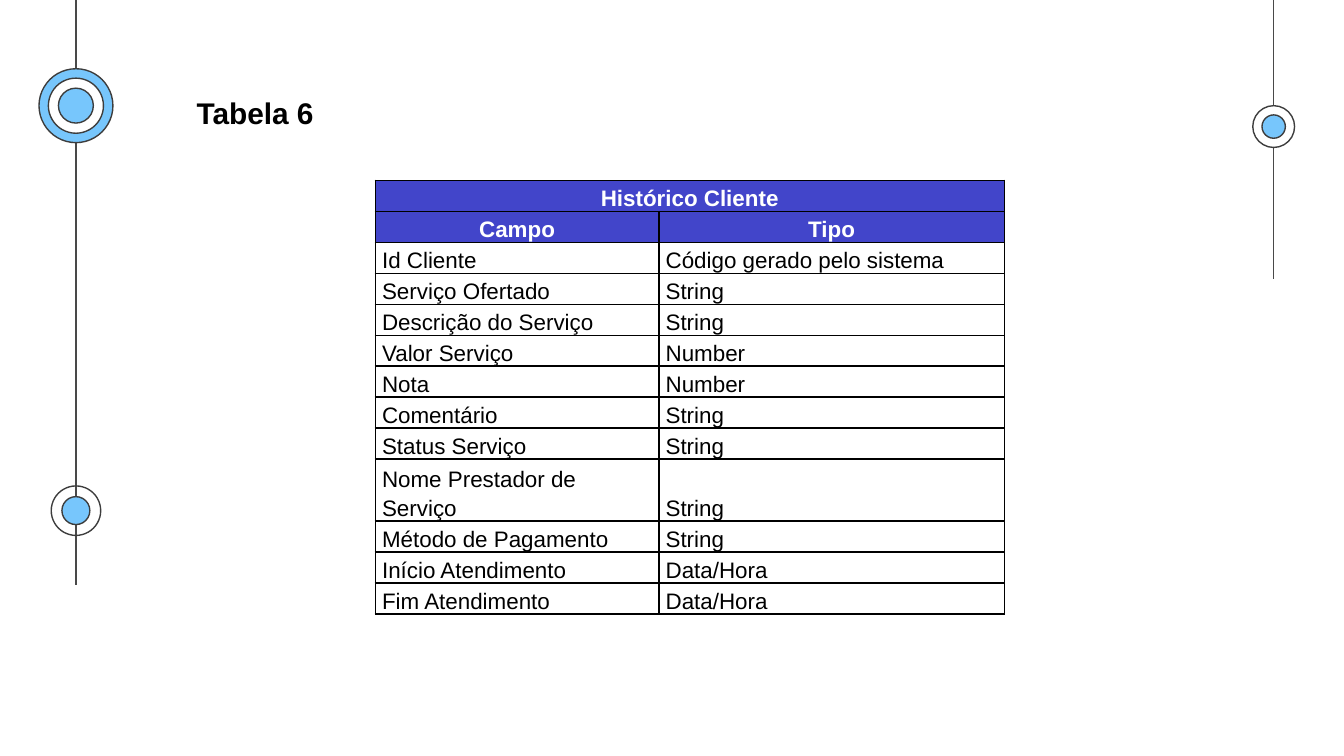
from lxml import etree
from pptx import Presentation
from pptx.dml.color import RGBColor
from pptx.enum.shapes import MSO_CONNECTOR, MSO_SHAPE
from pptx.enum.text import MSO_ANCHOR, MSO_AUTO_SIZE, PP_ALIGN
from pptx.oxml import parse_xml
from pptx.oxml.ns import nsdecls, qn
from pptx.util import Inches, Pt

OVAL = MSO_SHAPE.OVAL
STRAIGHT = MSO_CONNECTOR.STRAIGHT
BOTTOM = MSO_ANCHOR.BOTTOM
CENTER, LEFT = PP_ALIGN.CENTER, PP_ALIGN.LEFT
FIT_SHAPE = MSO_AUTO_SIZE.SHAPE_TO_FIT_TEXT

BLACK = RGBColor(0x00, 0x00, 0x00)
WHITE = RGBColor(0xFF, 0xFF, 0xFF)
SKY = RGBColor(0x77, 0xC6, 0xFC)
INDIGO = RGBColor(0x42, 0x45, 0xCA)
RAIL_GRAY = RGBColor(0x49, 0x49, 0x49)
RING_GRAY = RGBColor(0x3D, 0x3D, 0x3D)
FONT = "Arial"

# Widescreen slide, 16:9
presentation = Presentation()
presentation.slide_width = Inches(10)
presentation.slide_height = presentation.slide_width * 9 // 16
slide = presentation.slides.add_slide(presentation.slide_layouts[6])

# Grid of 100 columns by 100 rows
COLUMN = presentation.slide_width / 100
ROW = presentation.slide_height / 100


def columns(count):
    return round(count * COLUMN)


def rows(count):
    return round(count * ROW)


# Vertical rails: column, end row
LEFT_RAIL, RIGHT_RAIL = 5.65, 94.77
for rail, end in ((LEFT_RAIL, 77.4), (RIGHT_RAIL, 36.95)):
    connector = slide.shapes.add_connector(
        STRAIGHT, columns(rail), 0, columns(rail), rows(end))
    connector.line.color.rgb = RAIL_GRAY
    connector.line.width = Pt(0.75)
    etree.SubElement(connector._element.spPr, qn("a:effectLst"))

# Targets on the rails: column, row, then (diameter in columns, fill) from outside in
targets = (
    (LEFT_RAIL, 67.55, ((3.68, None), (2.08, SKY))),
    (RIGHT_RAIL, 16.75, ((3.11, WHITE), (1.74, SKY))),
    (LEFT_RAIL, 13.98, ((5.5, SKY), (4.1, WHITE), (2.6, SKY))),
)
for column, row, circles in targets:
    for diameter, color in circles:
        size = columns(diameter)
        circle = slide.shapes.add_shape(
            OVAL, columns(column) - size // 2, rows(row) - size // 2, size, size)
        circle.shadow.inherit = False
        circle.line.color.rgb = RING_GRAY
        circle.line.width = Pt(0.75)
        if color is None:
            circle.fill.background()
        else:
            circle.fill.solid()
            circle.fill.fore_color.rgb = color

# Title
title = slide.shapes.add_textbox(columns(13.65), rows(11.6), columns(11), rows(6.58))
title.text_frame.word_wrap = False
title.text_frame.auto_size = FIT_SHAPE
paragraph = title.text_frame.paragraphs[0]
paragraph.text = "Tabela 6"
paragraph.font.name = FONT
paragraph.font.size = Pt(16)
paragraph.font.bold = True
paragraph.font.color.rgb = BLACK

# Table of fields
HEADER_ROWS = 2
fields = (
    ("Histórico Cliente", ""),
    ("Campo", "Tipo"),
    ("Id Cliente", "Código gerado pelo sistema"),
    ("Serviço Ofertado", "String"),
    ("Descrição do Serviço", "String"),
    ("Valor Serviço", "Number"),
    ("Nota", "Number"),
    ("Comentário", "String"),
    ("Status Serviço", "String"),
    ("Nome Prestador de Serviço", "String"),
    ("Método de Pagamento", "String"),
    ("Início Atendimento", "Data/Hora"),
    ("Fim Atendimento", "Data/Hora"),
)
column_widths = (21.1, 25.7)
row_height = 3.74
table = slide.shapes.add_table(
    len(fields), len(column_widths), columns(27.93), rows(23.88),
    columns(sum(column_widths)), rows(row_height * len(fields))).table
table.first_row = False
table.horz_banding = False
for table_column, width in zip(table.columns, column_widths):
    table_column.width = columns(width)
for table_row in table.rows:
    table_row.height = rows(row_height)
table.cell(0, 0).merge(table.cell(0, 1))

for row_index, texts in enumerate(fields):
    is_header = row_index < HEADER_ROWS
    for column_index, text in enumerate(texts):
        cell = table.cell(row_index, column_index)
        cell.vertical_anchor = BOTTOM
        cell.margin_left = cell.margin_right = columns(0.5)
        cell.margin_top = cell.margin_bottom = 0

        paragraph = cell.text_frame.paragraphs[0]
        paragraph.text = text
        paragraph.alignment = CENTER if is_header else LEFT
        paragraph.line_spacing = 1.15
        paragraph.font.name = FONT
        paragraph.font.size = Pt(12)
        paragraph.font.bold = is_header
        paragraph.font.color.rgb = WHITE if is_header else BLACK

        # Borders come before the fill in the cell properties
        properties = cell._tc.get_or_add_tcPr()
        for side in ("lnL", "lnR", "lnT", "lnB"):
            properties.append(parse_xml(
                f'<a:{side} {nsdecls("a")} w="{Pt(1)}"><a:solidFill>'
                f'<a:srgbClr val="{BLACK}"/></a:solidFill></a:{side}>'))
        if is_header:
            cell.fill.solid()
            cell.fill.fore_color.rgb = INDIGO
        else:
            cell.fill.background()

presentation.save("out.pptx")
